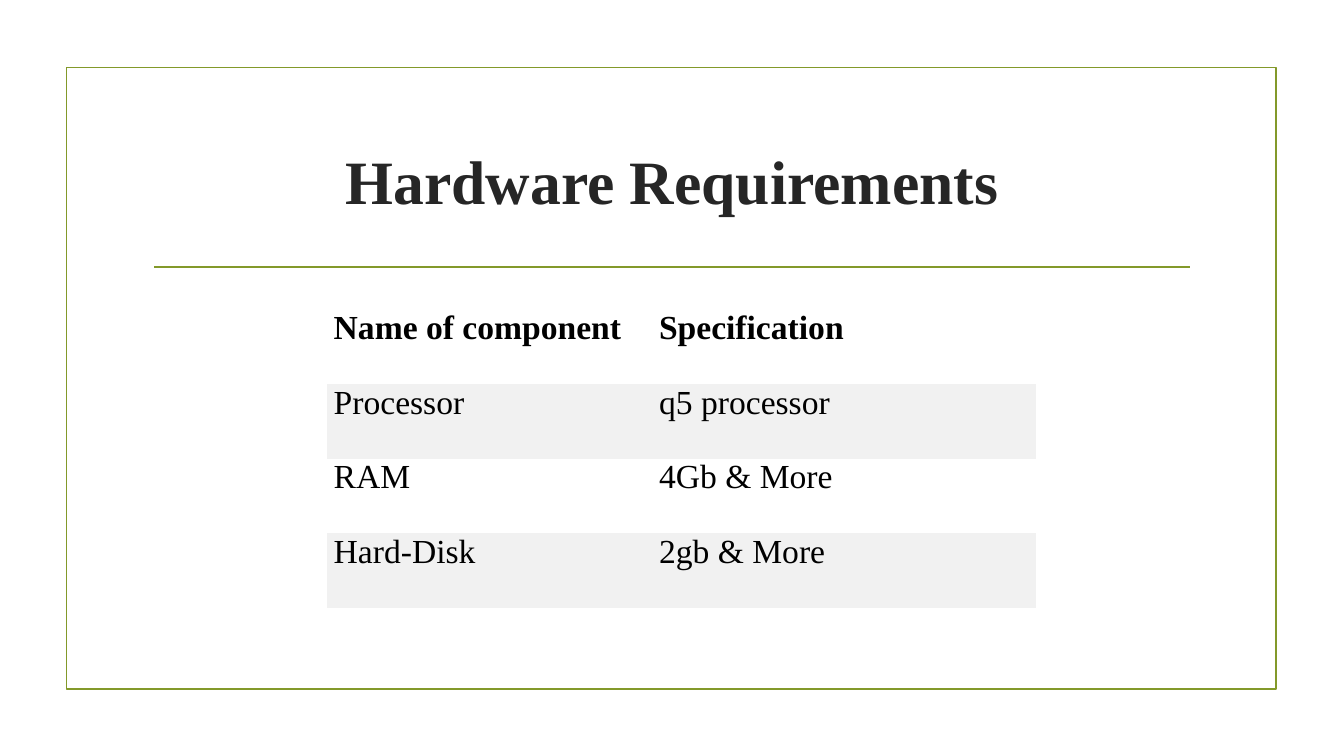
from lxml.etree import SubElement
from pptx import Presentation
from pptx.dml.color import RGBColor
from pptx.enum.shapes import MSO_CONNECTOR as Connector, MSO_SHAPE as Shape
from pptx.enum.text import MSO_ANCHOR as Anchor, PP_ALIGN as Align
from pptx.oxml.ns import qn
from pptx.util import Cm, Pt

GREEN, BAND = "83992A", "F1F1F1"
PLAIN_STYLE = "{2D5ABB26-0587-4C30-8999-92F81FD0307C}"


def color(hex_value):
    return RGBColor.from_string(hex_value)


def write(frame, text, size, hex_value, bold):
    para = frame.paragraphs[0]
    span = para.add_run()
    span.text = text
    formats = {"name": "Times New Roman", "size": Pt(size), "bold": bold}
    for key, value in formats.items():
        setattr(span.font, key, value)
    span.font.color.rgb = color(hex_value)
    return para


deck = Presentation()
deck.slide_width, deck.slide_height = Cm(33.87), Cm(19.05)
page = deck.slides.add_slide(deck.slide_layouts[5])

# Frame and rule
border = page.shapes.add_shape(Shape.RECTANGLE, Cm(1.68), Cm(1.7), Cm(30.48), Cm(15.67))
border.shadow.inherit = False
border.fill.background()
rule = page.shapes.add_connector(Connector.STRAIGHT, Cm(3.89), Cm(6.73), Cm(30), Cm(6.73))
SubElement(rule._element.spPr, qn("a:effectLst"))
for outline in (border.line, rule.line):
    outline.color.rgb = color(GREEN)
    outline.width = Pt(1.25)

# Title
title = page.shapes.title
place = {"left": Cm(3.61), "top": Cm(2.72), "width": Cm(26.67), "height": Cm(3.63)}
for key, value in place.items():
    setattr(title, key, value)
title.text_frame.vertical_anchor = Anchor.MIDDLE
write(title.text_frame, "Hardware Requirements", 44, "262626", True).alignment = Align.CENTER

# Requirements table
requirements = [
    ("Name of component", "Specification"),
    ("Processor", "q5 processor"),
    ("RAM", "4Gb & More"),
    ("Hard-Disk", "2gb & More"),
]
row_height = Cm(1.88)
table = page.shapes.add_table(
    len(requirements), 2, Cm(8.23), Cm(7.8), Cm(17.88), row_height * len(requirements)
).table
table._tbl.tblPr.find(qn("a:tableStyleId")).text = PLAIN_STYLE
table.horz_banding = False
for column, width in zip(table.columns, (8.2, 9.68)):
    column.width = Cm(width)

margins = {"margin_left": Cm(0.18), "margin_right": Cm(0.18), "margin_top": 0, "margin_bottom": 0}
for row, texts in enumerate(requirements):
    table.rows[row].height = row_height
    for column, text in enumerate(texts):
        cell = table.cell(row, column)
        for key, value in margins.items():
            setattr(cell, key, value)
        if row % 2:
            cell.fill.solid()
            cell.fill.fore_color.rgb = color(BAND)
        else:
            cell.fill.background()
        write(cell.text_frame, text, 24, "000000", row == 0)

deck.save("out.pptx")
